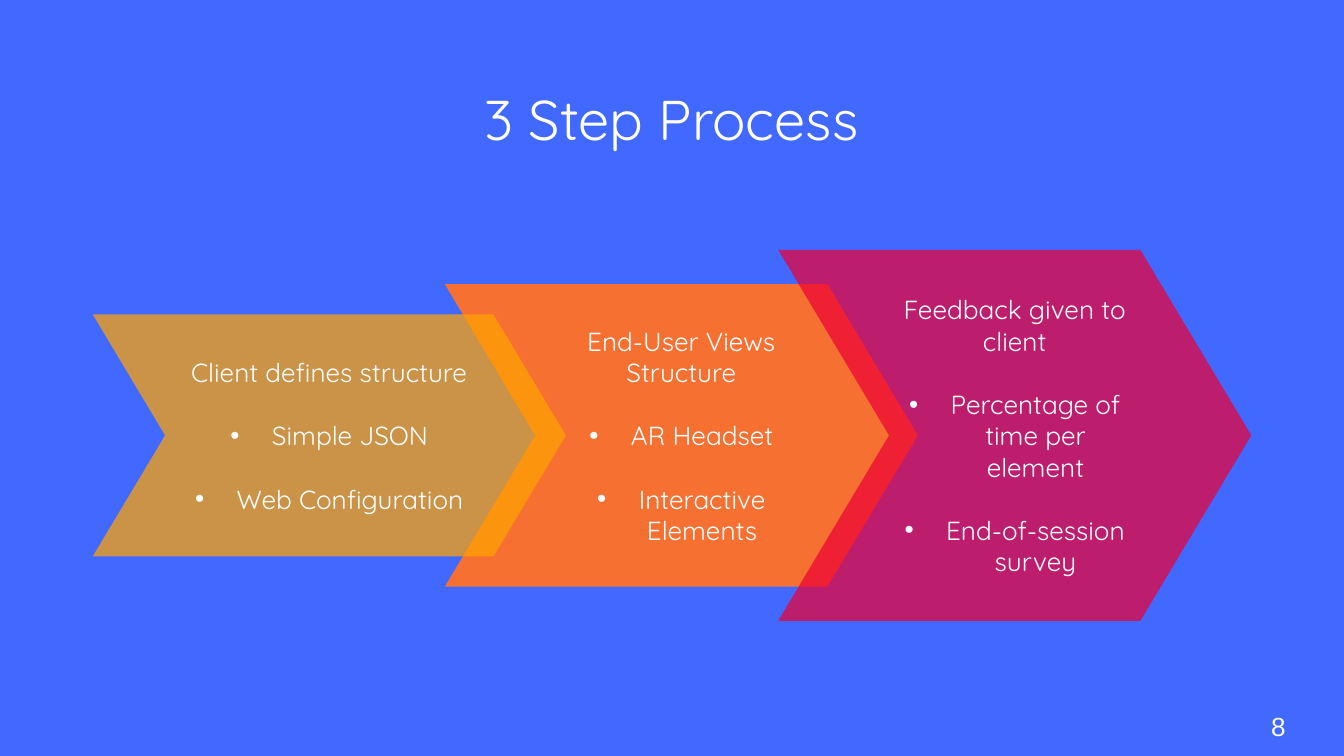
from lxml.etree import SubElement
from pptx import Presentation
from pptx.dml.color import RGBColor
from pptx.enum.shapes import MSO_SHAPE
from pptx.enum.text import MSO_ANCHOR, PP_ALIGN
from pptx.oxml.ns import qn
from pptx.util import Inches, Pt

BLUE = RGBColor(0x41, 0x69, 0xFF)
AMBER = RGBColor(0xFF, 0xA4, 0x00)
ORANGE = RGBColor(0xF6, 0x70, 0x31)
CRIMSON = RGBColor(0xED, 0x00, 0x36)
WHITE = RGBColor(0xFF, 0xFF, 0xFF)

STEP_WIDTH = 3.52
MID_Y = 3.24
BULLET_INDENT = Inches(0.31)

# left, height, colour, opacity in percent, heading, bullets; from back to front
STEPS = [
    (3.31, 2.25, ORANGE, 100, "End-User Views Structure",
     ["AR Headset", "Interactive Elements"]),
    (5.79, 2.76, CRIMSON, 72, "Feedback given to client",
     ["Percentage of time per element", "End-of-session survey"]),
    (0.69, 1.8, AMBER, 72, "Client defines structure",
     ["Simple JSON", "Web Configuration"]),
]


def write(p, text, size=14, font="Quicksand", align=PP_ALIGN.CENTER,
          before=0, bullet=False):
    p.alignment = align
    if before:
        p.space_before = Pt(before)
    if bullet:
        pPr = p._p.get_or_add_pPr()
        pPr.set("marL", str(BULLET_INDENT))
        pPr.set("indent", str(-BULLET_INDENT))
        SubElement(pPr, qn("a:buFont"), typeface="Arial")
        SubElement(pPr, qn("a:buChar"), char="•")
    r = p.add_run()
    r.text = text
    r.font.size = Pt(size)
    r.font.name = font
    r.font.color.rgb = WHITE


def set_frame(tf, inset_y):
    tf.word_wrap = True
    tf.vertical_anchor = MSO_ANCHOR.MIDDLE
    tf.margin_left = tf.margin_right = Inches(0.1)
    tf.margin_top = tf.margin_bottom = Inches(inset_y)


def add_label(s, text, left, top, width, height, inset_y=0.05, **fmt):
    box = s.shapes.add_textbox(Inches(left), Inches(top),
                               Inches(width), Inches(height))
    set_frame(box.text_frame, inset_y)
    write(box.text_frame.paragraphs[0], text, **fmt)


def add_step(s, left, height, color, opacity, heading, bullets):
    """Chevron centred on MID_Y, with a heading above its bullets."""
    sp = s.shapes.add_shape(MSO_SHAPE.CHEVRON, Inches(left),
                            Inches(MID_Y - height / 2),
                            Inches(STEP_WIDTH), Inches(height))
    sp.adjustments[0] = 0.299
    sp.shadow.inherit = False
    sp.line.fill.background()
    sp.fill.solid()
    sp.fill.fore_color.rgb = color
    if opacity < 100:
        clr = sp._element.spPr.find(qn("a:solidFill"))[0]
        SubElement(clr, qn("a:alpha"), val=str(opacity * 1000))

    tf = sp.text_frame
    set_frame(tf, 0.1)
    write(tf.paragraphs[0], heading)
    for text in bullets:
        write(tf.add_paragraph(), text, before=17, bullet=True)


def main():
    prs = Presentation()
    prs.slide_width, prs.slide_height = Inches(10), Inches(10 * 9 / 16)
    s = prs.slides.add_slide(prs.slide_layouts[6])
    s.background.fill.solid()
    s.background.fill.fore_color.rgb = BLUE

    add_label(s, "8", 9.36, 5.19, 0.6, 0.43, inset_y=0.1,
              font="Arial", align=PP_ALIGN.LEFT)
    for step in STEPS:
        add_step(s, *step)
    add_label(s, "3 Step Process", 3.49, 0.57, 3.01, 0.61, size=30)

    prs.save("out.pptx")


if __name__ == "__main__":
    main()
